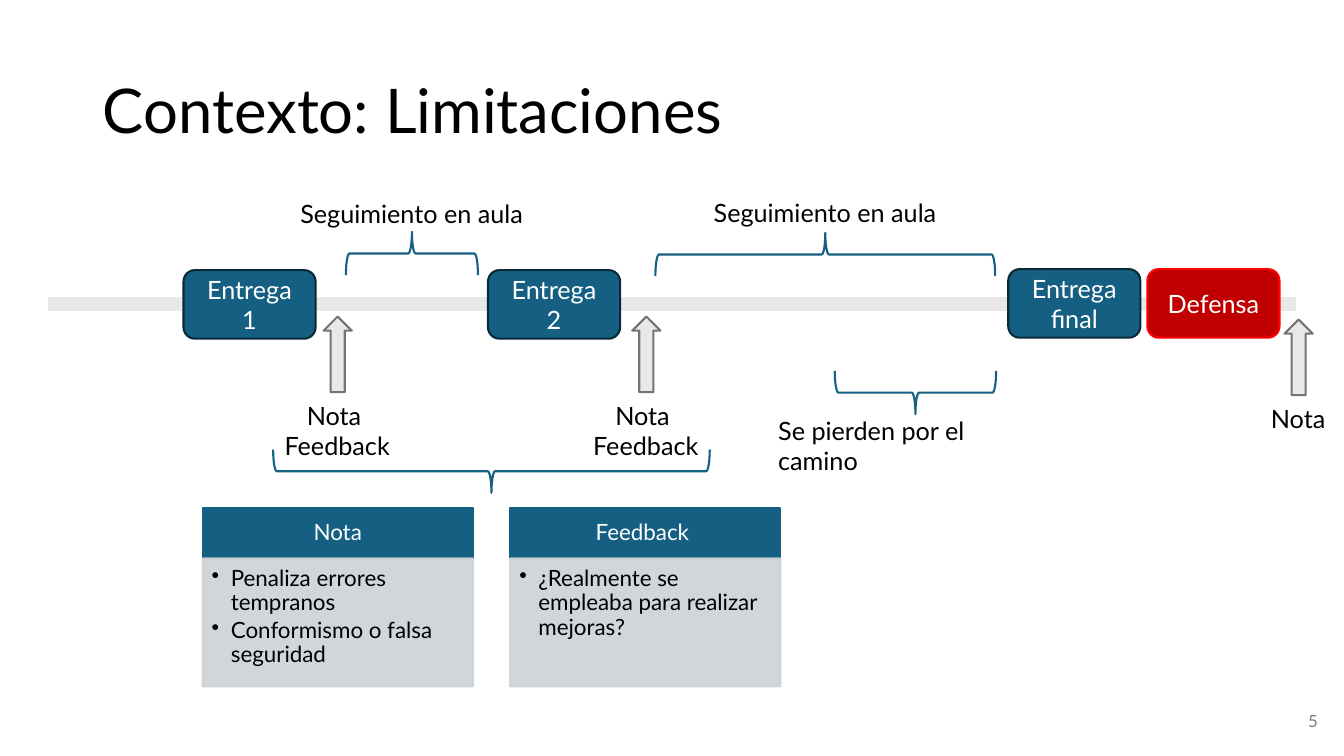
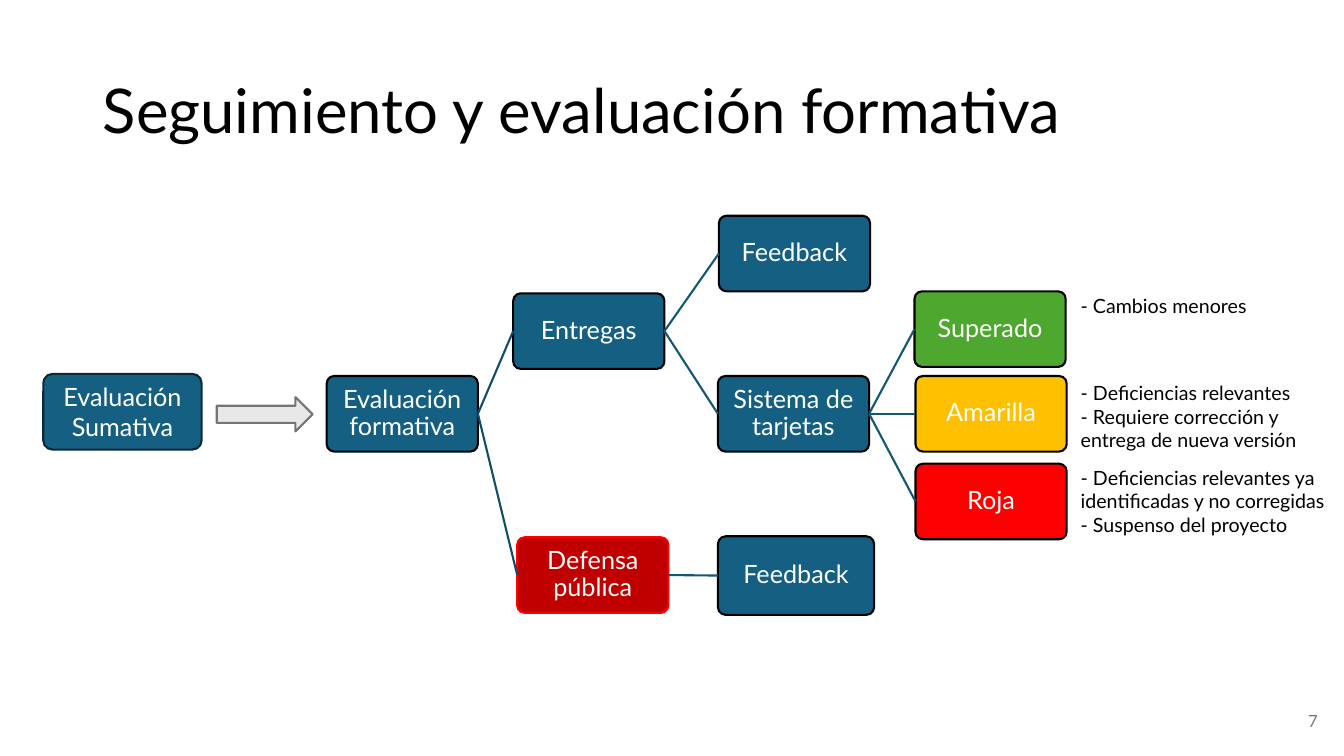
"""Build two slides on the limits of the course context and its formative assessment."""
import pptx
import pptx.dml.color
import pptx.enum.shapes
import pptx.enum.text
import pptx.oxml
import pptx.oxml.ns
import pptx.util

SHAPE = pptx.enum.shapes.MSO_SHAPE
ALIGN = pptx.enum.text.PP_ALIGN
ANCHOR = pptx.enum.text.MSO_ANCHOR
Inches = pptx.util.Inches
Pt = pptx.util.Pt

FONT = "Lato"
BLACK, WHITE, BLUE, NAVY = "000000", "FFFFFF", "156082", "092A39"
CRIMSON, RED, GREEN, AMBER = "C00000", "FF0000", "4EA72E", "FFC000"
PALE, GREY, CARD, NUMBER = "E8E8E8", "747474", "CCD2D8", "797979"
TRUNK, BRANCH = "114D68", "135776"
STROKE = 1.5
INSETS = (0.1, 0.05, 0.1, 0.05)

TITLE_BOX = (0.92, 0.4, 11.5, 1.45)
NUMBER_BOX = (10.17, 6.95, 3, 0.4)

AXIS = (0.48, 12.85, 3.02)
MILESTONE_SIZE = (1.31, 0.68)
MILESTONES = [
    ("Entrega 1", 1.82, 2.68, BLUE, NAVY),
    ("Entrega 2", 4.84, 2.68, BLUE, NAVY),
    ("Entrega final", 10, 2.67, BLUE, NAVY),
    ("Defensa", 11.38, 2.67, CRIMSON, RED),
]
GRADE_ARROW_SIZE = (0.28, 0.75)
GRADES = [
    (3.21, 3.14, ["Nota ", "Feedback"], (2.71, 3.92, 1.27, 0.71)),
    (6.27, 3.14, ["Nota ", "Feedback"], (5.77, 3.92, 1.27, 0.71)),
    (12.74, 3.17, ["Nota "], (12.48, 3.95, 0.79, 0.4)),
]
BRACE_DEPTH = 0.43
UP, DOWN = 90, 270
BRACES = [
    (3.43, 2.3, 1.31, UP),
    (6.5, 2.31, 3.37, UP),
    (8.28, 3.68, 1.6, DOWN),
    (2.71, 4.46, 4.33, DOWN),
]
BRACE_LABELS = [
    ("Seguimiento en aula", (2.88, 1.92, 2.41, 0.4), False),
    ("Seguimiento en aula", (6.98, 1.91, 2.41, 0.4), False),
    ("Se pierden por el camino", (7.62, 4.07, 2.3, 0.7), True),
]
CARDS = [
    ("Nota", ["Penaliza errores tempranos", "Conformismo o falsa seguridad"]),
    ("Feedback ", ["¿Realmente se empleaba para realizar mejoras?"]),
]
CARD_LEFT, CARD_TOP, CARD_WIDTH, CARD_STEP = 2.01, 5.04, 2.68, 3.05
HEAD_HEIGHT, BODY_HEIGHT = 0.5, 1.27

SUMMATIVE = ("Evaluación Sumativa", (0.43, 3.71, 1.57, 0.75))
CHANGE_ARROW = (2.15, 3.94, 0.95, 0.34)
NODE = (1.5, 0.75)
TREE = {
    "formative": ("Evaluación formativa", (3.24, 3.73, *NODE), BLUE, BLACK, None),
    "deliveries": ("Entregas", (5.09, 2.91, *NODE), BLUE, BLACK, "formative"),
    "defence": ("Defensa pública", (5.13, 5.33, *NODE), CRIMSON, RED, "formative"),
    "delivery feedback": ("Feedback", (7.13, 2.14, *NODE), BLUE, BLACK, "deliveries"),
    "cards": ("Sistema de tarjetas", (7.12, 3.73, *NODE), BLUE, BLACK, "deliveries"),
    "defence feedback": ("Feedback", (7.12, 5.32, 1.55, 0.78), BLUE, BLACK, "defence"),
    "passed": ("Superado", (9.07, 2.89, *NODE), GREEN, BLACK, "cards"),
    "yellow": ("Amarilla", (9.08, 3.73, *NODE), AMBER, BLACK, "cards"),
    "red": ("Roja", (9.08, 4.6, *NODE), RED, BLACK, "cards"),
}
OUTCOME_LEFT, OUTCOME_WIDTH = 10.62, 2.66
OUTCOMES = [
    (2.87, 0.34, ["- Cambios menores"]),
    (3.73, 0.81, ["- Deficiencias relevantes",
                  "- Requiere corrección y entrega de nueva versión"]),
    (4.57, 0.81, ["- Deficiencias relevantes ya identificadas y no corregidas",
                  "- Suspenso del proyecto"]),
]


def rgb(value):
    return pptx.dml.color.RGBColor.from_string(value)


def box(area):
    return [Inches(length) for length in area]


def add_bullet(paragraph):
    properties = paragraph._p.get_or_add_pPr()
    properties.set("marL", str(Inches(0.19)))
    properties.set("indent", str(-Inches(0.19)))
    bullet = pptx.oxml.parse_xml(
        f'<a:buChar {pptx.oxml.ns.nsdecls("a")} char="•"/>')
    properties.append(bullet)


def write(shape, lines, size=18, color=BLACK, align=ALIGN.LEFT, anchor=ANCHOR.TOP,
          insets=INSETS, spacing=1.0, after=0, bullets=False, wrap=True):
    frame = shape.text_frame
    frame.word_wrap = wrap
    frame.vertical_anchor = anchor
    (frame.margin_left, frame.margin_top,
     frame.margin_right, frame.margin_bottom) = box(insets)
    for index, line in enumerate(lines):
        paragraph = frame.add_paragraph() if index else frame.paragraphs[0]
        paragraph.alignment = align
        paragraph.line_spacing = spacing
        paragraph.space_after = Pt(after)
        if bullets:
            add_bullet(paragraph)
        run = paragraph.add_run()
        run.text = line
        run.font.name = FONT
        run.font.size = Pt(size)
        run.font.color.rgb = rgb(color)


def add_text(slide, area, lines, **style):
    write(slide.shapes.add_textbox(*box(area)), lines, **style)


def add_figure(slide, preset, area, fill, line):
    figure = slide.shapes.add_shape(preset, *box(area))
    figure.shadow.inherit = False
    if fill:
        figure.fill.solid()
        figure.fill.fore_color.rgb = rgb(fill)
    else:
        figure.fill.background()
    figure.line.color.rgb = rgb(line)
    figure.line.width = Pt(STROKE)
    return figure


def add_label_box(slide, label, area, fill, line, rounding=None, **style):
    label_box = add_figure(slide, SHAPE.ROUNDED_RECTANGLE, area, fill, line)
    if rounding:
        label_box.adjustments[0] = rounding
    write(label_box, [label], color=WHITE, align=ALIGN.CENTER,
          anchor=ANCHOR.MIDDLE, **style)
    return label_box


def add_line(slide, color, width, start=(0, 0), end=(0, 0)):
    line = slide.shapes.add_connector(
        pptx.enum.shapes.MSO_CONNECTOR.STRAIGHT, *box((*start, *end)))
    line.line.color.rgb = rgb(color)
    line.line.width = Pt(width)
    line._element.spPr.append(pptx.oxml.parse_xml(
        f'<a:effectLst {pptx.oxml.ns.nsdecls("a")}/>'))
    return line


def add_brace(slide, left, top, width, rotation):
    shift = (width - BRACE_DEPTH) / 2
    area = (left + shift, top - shift, BRACE_DEPTH, width)
    add_figure(slide, SHAPE.LEFT_BRACE, area, None, BLUE).rotation = rotation


def add_card(slide, left, heading, points):
    head = add_figure(slide, SHAPE.RECTANGLE,
                      (left, CARD_TOP, CARD_WIDTH, HEAD_HEIGHT), BLUE, BLUE)
    write(head, [heading], size=16, color=WHITE, align=ALIGN.CENTER,
          anchor=ANCHOR.MIDDLE, insets=(0.12, 0.07, 0.12, 0.07), spacing=0.9)
    body = add_figure(slide, SHAPE.RECTANGLE,
                      (left, CARD_TOP + HEAD_HEIGHT, CARD_WIDTH, BODY_HEIGHT), CARD, CARD)
    for tint in body._element.spPr.iter(pptx.oxml.ns.qn("a:srgbClr")):
        tint.append(pptx.oxml.parse_xml(
            f'<a:alpha {pptx.oxml.ns.nsdecls("a")} val="90000"/>'))
    write(body, points, size=16, insets=(0.09, 0.09, 0.12, 0.14),
          spacing=0.9, after=2.4, bullets=True)


def add_slide(deck, title, number):
    slide = deck.slides.add_slide(deck.slide_layouts[5])
    heading = slide.shapes.title
    heading.left, heading.top, heading.width, heading.height = box(TITLE_BOX)
    write(heading, [title], size=44, anchor=ANCHOR.MIDDLE, spacing=0.9)
    add_text(slide, NUMBER_BOX, [number], size=12, color=NUMBER,
             align=ALIGN.RIGHT, anchor=ANCHOR.MIDDLE)
    return slide


def build_limits(deck):
    slide = add_slide(deck, "Contexto: Limitaciones", "5")
    start, end, height = AXIS
    add_line(slide, PALE, 10, (start, height), (end, height))
    for label, left, top, fill, line in MILESTONES:
        add_label_box(slide, label, (left, top, *MILESTONE_SIZE), fill, line)
    for left, top, lines, area in GRADES:
        add_figure(slide, SHAPE.UP_ARROW, (left, top, *GRADE_ARROW_SIZE), PALE, GREY)
        add_text(slide, area, lines, align=ALIGN.CENTER, wrap=False)
    for brace in BRACES:
        add_brace(slide, *brace)
    for label, area, wrap in BRACE_LABELS:
        add_text(slide, area, [label], wrap=wrap)
    for column, (heading, points) in enumerate(CARDS):
        add_card(slide, CARD_LEFT + column * CARD_STEP, heading, points)


def build_assessment(deck):
    slide = add_slide(deck, "Seguimiento y evaluación formativa", "7")
    add_label_box(slide, *SUMMATIVE, BLUE, NAVY, rounding=0.12)
    add_figure(slide, SHAPE.RIGHT_ARROW, CHANGE_ARROW, PALE, GREY)
    nodes = {}
    for key, (label, area, fill, line, parent) in TREE.items():
        nodes[key] = add_label_box(slide, label, area, fill, line, rounding=0.1,
                                   insets=(0.01,) * 4, spacing=0.9)
        if parent:
            link = add_line(slide, TRUNK if parent == "formative" else BRANCH, STROKE)
            link.begin_connect(nodes[parent], 3)
            link.end_connect(nodes[key], 1)
    for top, height, lines in OUTCOMES:
        add_text(slide, (OUTCOME_LEFT, top, OUTCOME_WIDTH, height), lines, size=14)


def main():
    deck = pptx.Presentation()
    deck.slide_width, deck.slide_height = box((13.33, 7.5))
    build_limits(deck)
    build_assessment(deck)
    deck.save("out.pptx")


if __name__ == "__main__":
    main()
